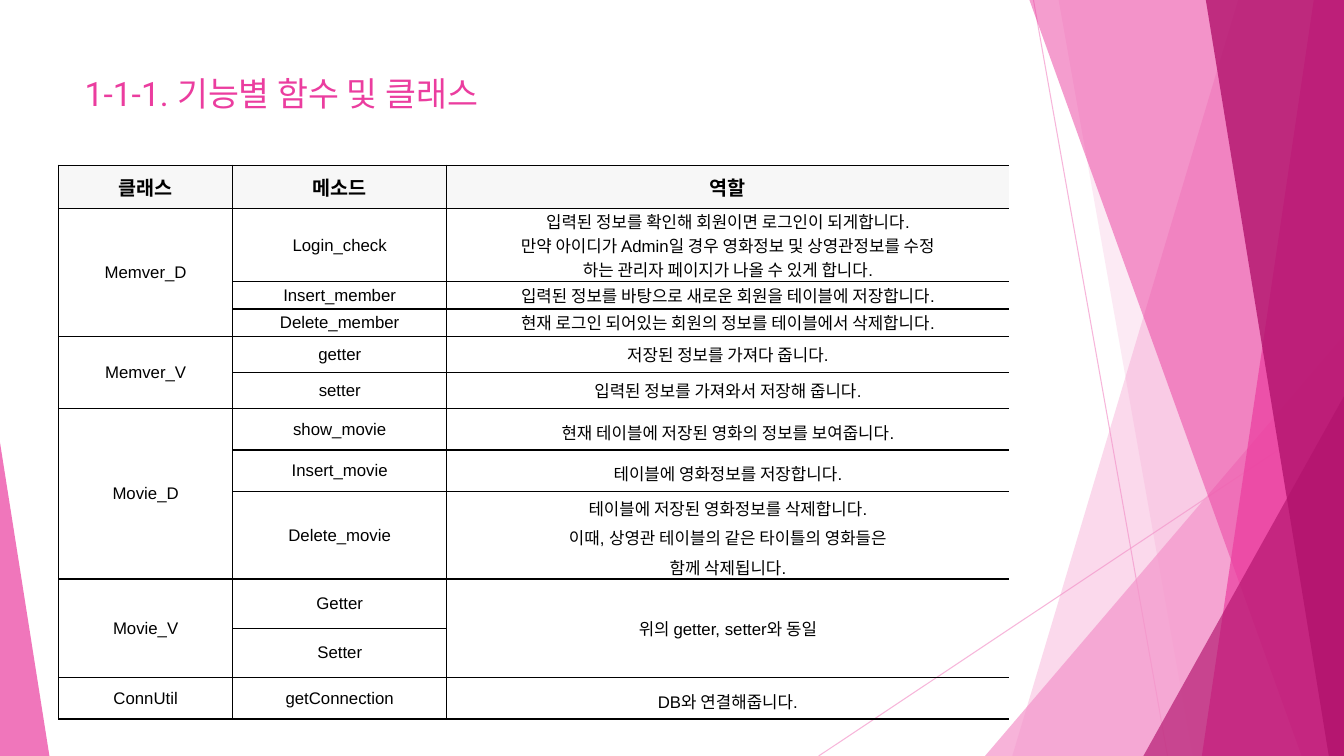
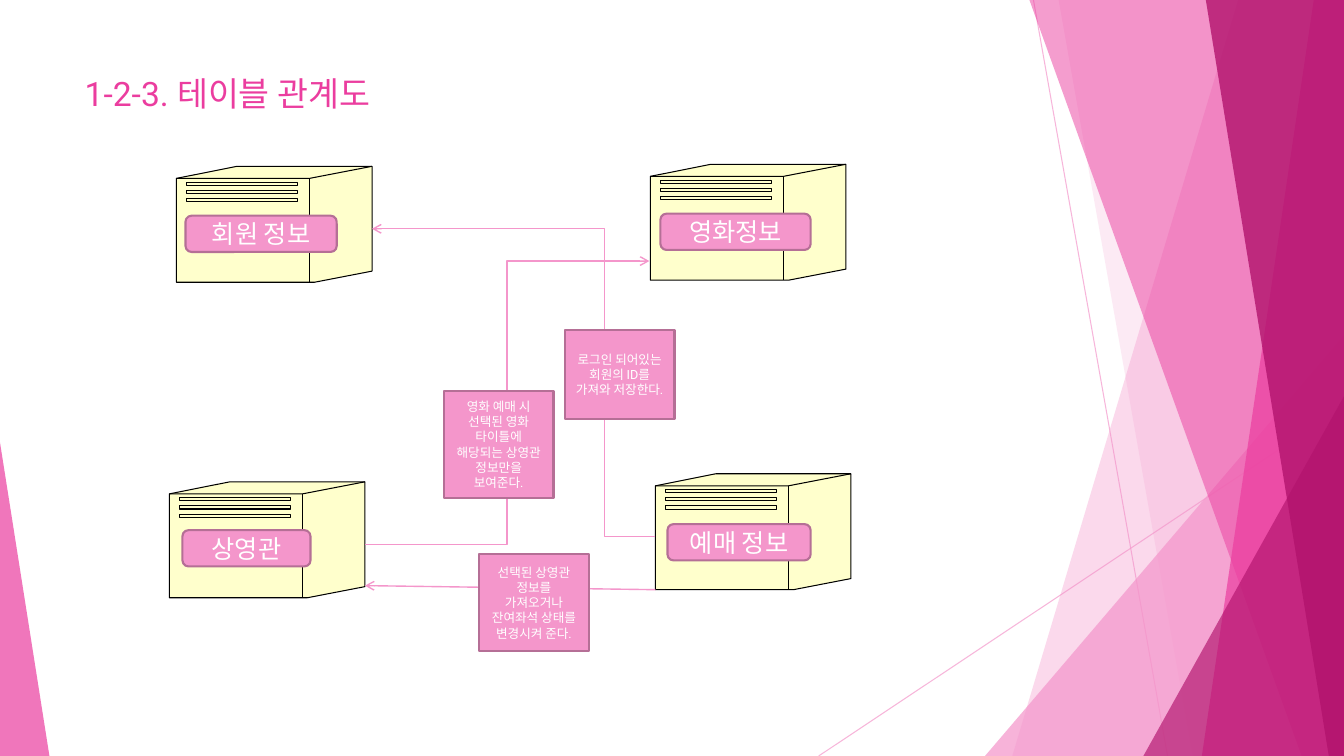
import pptx
import pptx.util
import pptx.dml.color
import pptx.enum.shapes
import pptx.enum.text
import pptx.oxml
import pptx.oxml.ns
from dataclasses import dataclass

Inches, Pt = pptx.util.Inches, pptx.util.Pt
Kind = pptx.enum.shapes.MSO_SHAPE
Link = pptx.enum.shapes.MSO_CONNECTOR
Align = pptx.enum.text.PP_ALIGN
Anchor = pptx.enum.text.MSO_ANCHOR
qn = pptx.oxml.ns.qn


@dataclass(frozen=True)
class Theme:
    rose: str = "F496CB"
    pink: str = "EB3D9F"
    plum: str = "B2136D"
    edge: str = "B56F96"
    cream: str = "FFFFCC"
    pale: str = "F7F7F7"
    ink: str = "000000"
    white: str = "FFFFFF"
    head: str = "Roboto"
    body: str = "Arial"
    title: int = 24
    label: int = 18
    th: int = 14
    td: int = 12
    note: int = 9


T = Theme()

# Band parts from back to front: colour, opacity, shape
RAYS = [(10.25, 0, 11.58, 7.5), (13.33, 4.03, 8.12, 7.5)]
BANDS = [
    (T.rose, 36, [(12.28, 0), (13.33, 0), (13.33, 7.5), (10.04, 7.5)]),
    (T.rose, 20, [(10.5, 0), (13.33, 0), (13.33, 7.5), (11.83, 7.5)]),
    (T.rose, 72, (9.77, 3.33, 3.56, 4.17, 1)),
    (T.pink, 50, [(10.21, 0), (13.33, 0), (13.33, 7.5), (12.91, 7.5)]),
    (T.pink, 70, [(13.03, 0), (13.33, 0), (13.33, 7.5), (11.92, 7.5)]),
    (T.plum, 80, [(11.96, 0), (13.33, 0), (13.33, 7.5), (13.18, 7.5)]),
    (T.plum, 66, (11.34, 3.93, 1.99, 3.57, 1)),
    (T.pink, 70, (0, 4.39, 0.49, 3.11, 0)),
]

TITLES = [("1-1-1. 기능별 함수 및 클래스", 1.44), ("1-2-3. 테이블 관계도", 0.66)]

# An empty cell joins the one above; the last value is line spacing of the role
COLS = [1.73, 2.12, 5.58]
ROWS = [
    (0.43, "클래스", "메소드", "역할", 1),
    (0.72, "Memver_D", "Login_check",
     "입력된 정보를 확인해 회원이면 로그인이 되게합니다.\n"
     "만약 아이디가 Admin일 경우 영화정보 및 상영관정보를 수정\n"
     "하는 관리자 페이지가 나올 수 있게 합니다.", 1),
    (0.27, "", "Insert_member",
     "입력된 정보를 바탕으로 새로운 회원을 테이블에 저장합니다.", 1),
    (0.27, "", "Delete_member",
     "현재 로그인 되어있는 회원의 정보를 테이블에서 삭제합니다.", 1),
    (0.36, "Memver_V", "getter", "저장된 정보를 가져다 줍니다.", 1),
    (0.36, "", "setter", "입력된 정보를 가져와서 저장해 줍니다.", 1),
    (0.41, "Movie_D", "show_movie",
     "현재 테이블에 저장된 영화의 정보를 보여줍니다.", 1.2),
    (0.41, "", "Insert_movie", "테이블에 영화정보를 저장합니다.", 1.2),
    (0.87, "", "Delete_movie",
     "테이블에 저장된 영화정보를 삭제합니다.\n"
     "이때, 상영관 테이블의 같은 타이틀의 영화들은\n함께 삭제됩니다.", 1.2),
    (0.49, "Movie_V", "Getter", "위의 getter, setter와 동일", 1),
    (0.49, "", "Setter", "", 1),
    (0.41, "ConnUtil", "getConnection", "DB와 연결해줍니다.", 1.2),
]

# Crate corner, then label and its place
CRATES = [
    (1.75, 1.65, "회원 정보", (1.84, 2.14, 1.5, 0.36)),
    (6.5, 4.7, "예매 정보", (6.62, 5.2, 1.42, 0.36)),
    (1.68, 4.78, "상영관", (1.81, 5.26, 1.27, 0.36)),
    (6.45, 1.63, "영화정보", (6.55, 2.12, 1.49, 0.36)),
]
OUTER = [(0, 0.12), (0.6, 0), (1.94, 0), (1.94, 1.04), (1.37, 1.15), (0, 1.15)]
FOLDS = [[(0, 0.12), (1.32, 0.12), (1.94, 0)], [(1.32, 0.12), (1.32, 1.15)]]
SLOTS = [[(0.1, y), (1.2, y), (1.2, y + 0.03), (0.1, y + 0.03), (0.1, y)]
         for y in (0.16, 0.24, 0.32)]

# Arrow ends, bend (None when straight), note and its place
FLOWS = [
    ((3.62, 5.4, 6.44, 2.59), 0.5,
     "영화 예매 시 선택된 영화 타이틀에 해당되는 상영관 정보만을 보여준다.",
     (4.4, 3.88, 1.09, 1.06)),
    ((6.5, 5.32, 3.69, 2.27), 0.18,
     "로그인 되어있는 회원의 ID를 가져와 저장한다.", (5.6, 3.27, 1.09, 0.89)),
    ((6.5, 5.85, 3.62, 5.81), None,
     "선택된 상영관 정보를 가져오거나 잔여좌석 상태를 변경시켜 준다.",
     (4.75, 5.5, 1.09, 0.96)),
]


def rgb(color):
    return pptx.dml.color.RGBColor.from_string(color)


def put(item, **form):
    for key, value in form.items():
        setattr(item, key, value)


def add(parent, tag, **attrs):
    node = pptx.oxml.parse_xml(f"<{tag} {pptx.oxml.ns.nsdecls('a')}/>")
    for key, value in attrs.items():
        node.set(key, str(value))
    parent.append(node)
    return node


def fade(shape, alpha):
    for color in shape.element.spPr.iter(qn("a:srgbClr")):
        add(color, "a:alpha", val=alpha * 1000)


def paint(shape, fill=None, line=None, width=0.75):
    shape.shadow.inherit = False
    if fill:
        shape.fill.solid()
        shape.fill.fore_color.rgb = rgb(fill)
    else:
        shape.fill.background()
    if line:
        shape.line.color.rgb = rgb(line)
        shape.line.width = Pt(width)
    else:
        shape.line.fill.background()


def write(frame, text, size, font, color, align=Align.CENTER, gap=1,
          bold=False):
    frame.text = text
    for para in frame.paragraphs:
        put(para, alignment=align, line_spacing=gap)
        for run in para.runs:
            put(run.font, size=Pt(size), name=font, bold=bold)
            run.font.color.rgb = rgb(color)


def trace(slide, paths, close, left=0, top=0):
    """Draw one freeform from several lists of points in inches."""
    build = None
    for path in paths:
        first, *rest = [(Inches(left + x), Inches(top + y)) for x, y in path]
        if build is None:
            build = slide.shapes.build_freeform(*first)
        else:
            build.move_to(*first)
        build.add_line_segments(rest, close=close)
    return build.convert_to_shape()


def wire(slide, ends, width, bend=None):
    kind = Link.STRAIGHT if bend is None else Link.ELBOW
    line = slide.shapes.add_connector(kind, *map(Inches, ends))
    put(line.line, width=Pt(width))
    line.line.color.rgb = rgb(T.rose)
    add(line.element.spPr, "a:effectLst")
    if bend is not None:
        guides = line.element.spPr.find(qn("a:prstGeom")).find(qn("a:avLst"))
        add(guides, "a:gd", name="adj1", fmla=f"val {round(bend * 100000)}")
    return line


def tag(slide, kind, box, text, size):
    shape = slide.shapes.add_shape(kind, *map(Inches, box))
    paint(shape, T.rose, T.edge, 1.5)
    put(shape.text_frame, word_wrap=True, vertical_anchor=Anchor.MIDDLE)
    write(shape.text_frame, text, size, T.head, T.white)


def dress(layout, slide):
    """Draw the bands once and move them into the shared layout."""
    for spot in list(layout.placeholders):
        if spot.placeholder_format.idx:
            layout.shapes.element.remove(spot.element)
    parts = []
    for ends in RAYS:
        ray = wire(slide, ends, 0.75)
        fade(ray, 70)
        parts.append(ray)
    for color, alpha, form in BANDS:
        if isinstance(form, list):
            part = trace(slide, [form], True)
        else:
            *box, apex = form
            part = slide.shapes.add_shape(Kind.ISOSCELES_TRIANGLE,
                                          *map(Inches, box))
            part.adjustments[0] = apex
        paint(part, color)
        fade(part, alpha)
        parts.append(part)
    for place, part in enumerate(parts):
        part.element.xpath(".//p:cNvPr")[0].set("id", str(100 + place))
        layout.shapes.element.insert(2 + place, part.element)


def head(slide, text, high):
    title = slide.shapes.title
    put(title, left=Inches(0.74), top=Inches(0.67), width=Inches(9.4),
        height=Inches(high))
    put(title.text_frame, word_wrap=True, vertical_anchor=Anchor.TOP)
    write(title.text_frame, text, T.title, T.head, T.pink, Align.LEFT)


def rule(cell, last):
    props = cell._tc.get_or_add_tcPr()
    for side in "LRTB":
        line = add(props, f"a:ln{side}", w=Pt(1))
        if side == "R" and last:
            add(line, "a:noFill")
        else:
            add(add(line, "a:solidFill"), "a:srgbClr", val=T.ink)


def grid(slide):
    high = [row[0] for row in ROWS]
    box = (0.58, 1.64, sum(COLS), sum(high))
    table = slide.shapes.add_table(len(ROWS), len(COLS),
                                   *map(Inches, box)).table
    put(table, first_row=False, horz_banding=False)
    for col, wide in zip(table.columns, COLS):
        col.width = Inches(wide)
    for r, (tall, *texts, gap) in enumerate(ROWS):
        table.rows[r].height = Inches(tall)
        side, edge = (0.07, 0) if r else (0.1, 0.05)
        for c, text in enumerate(texts):
            cell = table.cell(r, c)
            put(cell, vertical_anchor=Anchor.MIDDLE,
                margin_left=Inches(side), margin_right=Inches(side),
                margin_top=Inches(edge), margin_bottom=Inches(edge))
            rule(cell, c == len(COLS) - 1)
            if r:
                cell.fill.background()
            else:
                cell.fill.solid()
                cell.fill.fore_color.rgb = rgb(T.pale)
            write(cell.text_frame, text, T.td if r else T.th, T.body, T.ink,
                  gap=gap if c == 2 else 1, bold=not r)
    for c in range(len(COLS)):
        starts = [r for r, row in enumerate(ROWS) if row[c + 1]]
        for top, end in zip(starts, starts[1:] + [len(ROWS)]):
            if end - top > 1:
                table.cell(top, c).merge(table.cell(end - 1, c))


def chart(slide):
    for left, top, *_ in CRATES:
        paint(trace(slide, [OUTER], True, left, top), T.cream, T.ink)
        paint(trace(slide, FOLDS + SLOTS, False, left, top), None, T.ink)
    for *_, text, box in CRATES:
        tag(slide, Kind.ROUNDED_RECTANGLE, box, text, T.label)
    for ends, bend, text, box in FLOWS:
        line = wire(slide, ends, 1, bend)
        add(line.element.spPr.find(qn("a:ln")), "a:tailEnd", type="arrow")
        tag(slide, Kind.RECTANGLE, box, text, T.note)


def main():
    deck = pptx.Presentation()
    put(deck, slide_width=Inches(13.33), slide_height=Inches(7.5))
    layout = deck.slide_layouts[5]
    slides = [deck.slides.add_slide(layout) for _ in TITLES]
    dress(layout, slides[0])
    for slide, words, draw in zip(slides, TITLES, (grid, chart)):
        head(slide, *words)
        draw(slide)
    deck.save("out.pptx")


if __name__ == "__main__":
    main()
